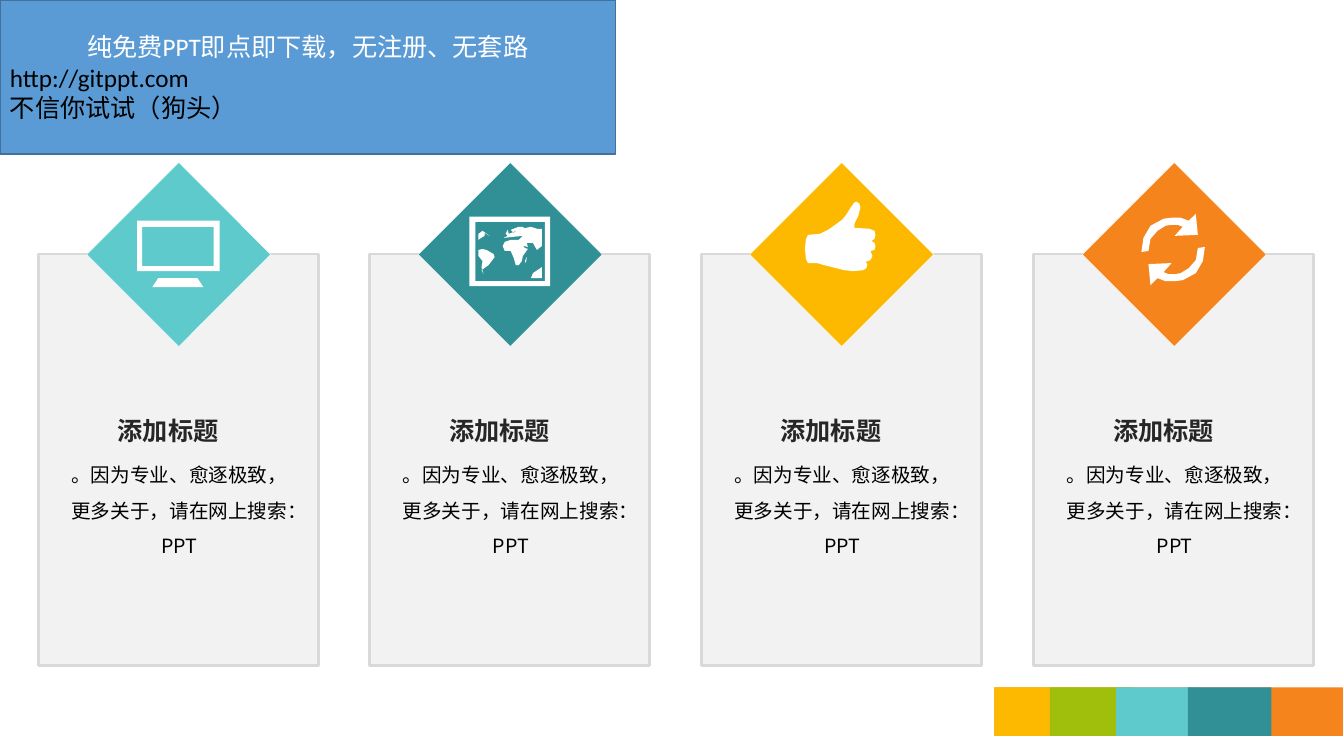
from lxml.etree import SubElement
from pptx import Presentation
from pptx.dml.color import RGBColor
from pptx.enum.shapes import MSO_SHAPE
from pptx.enum.text import MSO_ANCHOR, PP_ALIGN
from pptx.oxml.ns import qn
from pptx.util import Pt

PX = 9144
CJK = "Noto Sans CJK SC"
COLORS = {
    "white": "FFFFFF", "black": "000000", "heading": "262626",
    "card": "F2F2F2", "card_line": "D9D9D9",
    "banner": "5B9BD5", "banner_line": "41719C",
    "aqua": "5FCACB", "teal": "319095", "yellow": "FDB900",
    "orange": "F5841C", "green": "A0BF0D",
}


def frame(x1, y1, x2, y2):
    """Return the corners of a rectangular contour."""
    return [(x1, y1), (x2, y1), (x2, y2), (x1, y2)]


ARROW = [(42, 13), (37, 11), (31, 11), (25, 12), (17, 17), (10, 25), (8, 37),
         (1, 38), (3, 24), (10, 12), (23, 5), (31, 4), (40, 4), (48, 7),
         (55, 0), (57, 21), (34, 22)]
MONITOR = [[(21, 57), (15, 66), (66, 66), (60, 57)],
           frame(0, 0, 82, 50), frame(5, 6, 76, 45)]
WORLD_MAP = [
    frame(0, 0, 80, 69), frame(6, 5, 75, 64),
    [(14, 57), (12, 53), (19, 48), (25, 40), (24, 37), (17, 33), (13, 32),
     (9, 33), (9, 39), (13, 44), (12, 50)],
    [(15, 19), (15, 16), (20, 19), (13, 14), (9, 17), (9, 23), (10, 22)],
    [(56, 46), (57, 40), (55, 44)],
    [(41, 34), (44, 41), (46, 48), (49, 48), (52, 44), (53, 39), (58, 32),
     (55, 31), (51, 26), (54, 29), (58, 30), (57, 26), (63, 26), (67, 33),
     (72, 29), (72, 12), (67, 12), (61, 10), (52, 12), (54, 11), (53, 10),
     (49, 10), (41, 13), (44, 16), (48, 13), (42, 16), (39, 17), (38, 13),
     (36, 17), (38, 19), (34, 21), (43, 20), (53, 19), (49, 23), (41, 23),
     (35, 25), (33, 29), (35, 34)],
    [(63, 56), (61, 61), (72, 61), (72, 50)],
]
THUMB = [[
    (66, 39), (69, 37), (70, 33), (69, 29), (64, 27), (49, 26), (49, 23),
    (50, 20), (53, 14), (55, 6), (54, 2), (51, 0), (49, 1), (46, 5), (41, 13),
    (37, 18), (30, 23), (23, 28), (15, 32), (3, 33), (1, 37), (0, 47), (1, 57),
    (3, 61), (12, 61), (19, 63), (39, 68), (48, 69), (58, 68), (61, 66),
    (62, 62), (60, 60), (65, 58), (67, 54), (65, 49), (69, 48), (70, 44),
    (69, 41)]]
CYCLE = [ARROW, [(65 - x, 71 - y) for x, y in ARROW]]

CARDS = [("aqua", MONITOR, -41, -33), ("teal", WORLD_MAP, -40, -37),
         ("yellow", THUMB, -36, -52), ("orange", CYCLE, -33, -40)]


def paint(sp, fill, line=None, width=1):
    """Set fill and line, and drop the shadow."""
    sp.shadow.inherit = False
    sp.fill.solid()
    sp.fill.fore_color.rgb = RGBColor.from_string(COLORS[fill])
    if line:
        sp.line.color.rgb = RGBColor.from_string(COLORS[line])
        sp.line.width = Pt(width)
    else:
        sp.line.fill.background()


def add_rect(s, box, fill, line=None, width=1):
    """Add a painted rectangle."""
    sp = s.shapes.add_shape(MSO_SHAPE.RECTANGLE, *[v * PX for v in box])
    paint(sp, fill, line, width)
    return sp


def write(p, text, size=18, color="black", font=CJK, bold=False,
          align=PP_ALIGN.LEFT, spacing=1.0):
    """Write one formatted run into a paragraph."""
    p.alignment = align
    p.line_spacing = spacing
    r = p.add_run()
    r.text = text
    r.font.name = font
    r.font.size = Pt(size)
    r.font.bold = bold
    r.font.color.rgb = RGBColor.from_string(COLORS[color])
    SubElement(r.font._element, qn("a:ea")).set("typeface", CJK)


def add_text(s, box, text, **fmt):
    """Add a wrapping one-paragraph text box."""
    tf = s.shapes.add_textbox(*[v * PX for v in box]).text_frame
    tf.word_wrap = True
    write(tf.paragraphs[0], text, **fmt)


def add_icon(s, x, y, contours):
    """Draw a white icon made of closed contours."""
    first, *rest = [[(x + dx, y + dy) for dx, dy in c] for c in contours]
    fb = s.shapes.build_freeform(*first[0], scale=PX)
    fb.add_line_segments(first[1:], close=True)
    for contour in rest:
        fb.move_to(*contour[0])
        fb.add_line_segments(contour[1:], close=True)
    paint(fb.convert_to_shape(), "white")


def add_card(s, x, y, w, h, color, icon, dx, dy):
    """Place a card with its diamond, icon, heading and body."""
    add_rect(s, (x, y, w, h), "card", "card_line", 2)
    side = 129
    cx = x + w // 2
    diamond = add_rect(s, (cx - side // 2, y - side // 2, side, side),
                       color, "white", 0.25)
    diamond.rotation = 225
    add_icon(s, cx + dx, y + dy, icon)
    add_text(s, (x + 14, y + 191, 252, 115),
             "。因为专业、愈逐极致，更多关于，请在网上搜索：PPT",
             size=14, align=PP_ALIGN.CENTER, spacing=1.5)
    add_text(s, (x + 69, y + 155, 147, 40), "添加标题",
             color="heading", bold=True)


def add_strip(s, x, y, w, h):
    """Place the overlapping colour strip."""
    add_rect(s, (x, y, w, h), "orange")
    for dx, color in ((0, "yellow"), (55, "green"), (121, "aqua"), (192, "teal")):
        add_rect(s, (x + dx, y, 83, h), color)


def add_banner(s, x, y, w, h):
    """Place the blue banner with its three lines."""
    tf = add_rect(s, (x, y, w, h), "banner", "banner_line").text_frame
    tf.word_wrap = True
    tf.vertical_anchor = MSO_ANCHOR.MIDDLE
    write(tf.paragraphs[0], "纯免费PPT即点即下载，无注册、无套路",
          color="white", font="Calibri", align=PP_ALIGN.CENTER)
    for text in ("http://gitppt.com", "不信你试试（狗头）"):
        write(tf.add_paragraph(), text, font="Calibri")


def main():
    """Build and save the slide."""
    prs = Presentation()
    prs.slide_width, prs.slide_height = 1334 * PX, 750 * PX
    s = prs.slides.add_slide(prs.slide_layouts[6])
    add_strip(s, 987, 682, 346, 48)
    for i, card in enumerate(CARDS):
        add_card(s, 38 + 988 * i // 3, 252, 278, 408, *card)
    add_banner(s, 0, 0, 611, 153)
    prs.save("out.pptx")


if __name__ == "__main__":
    main()
